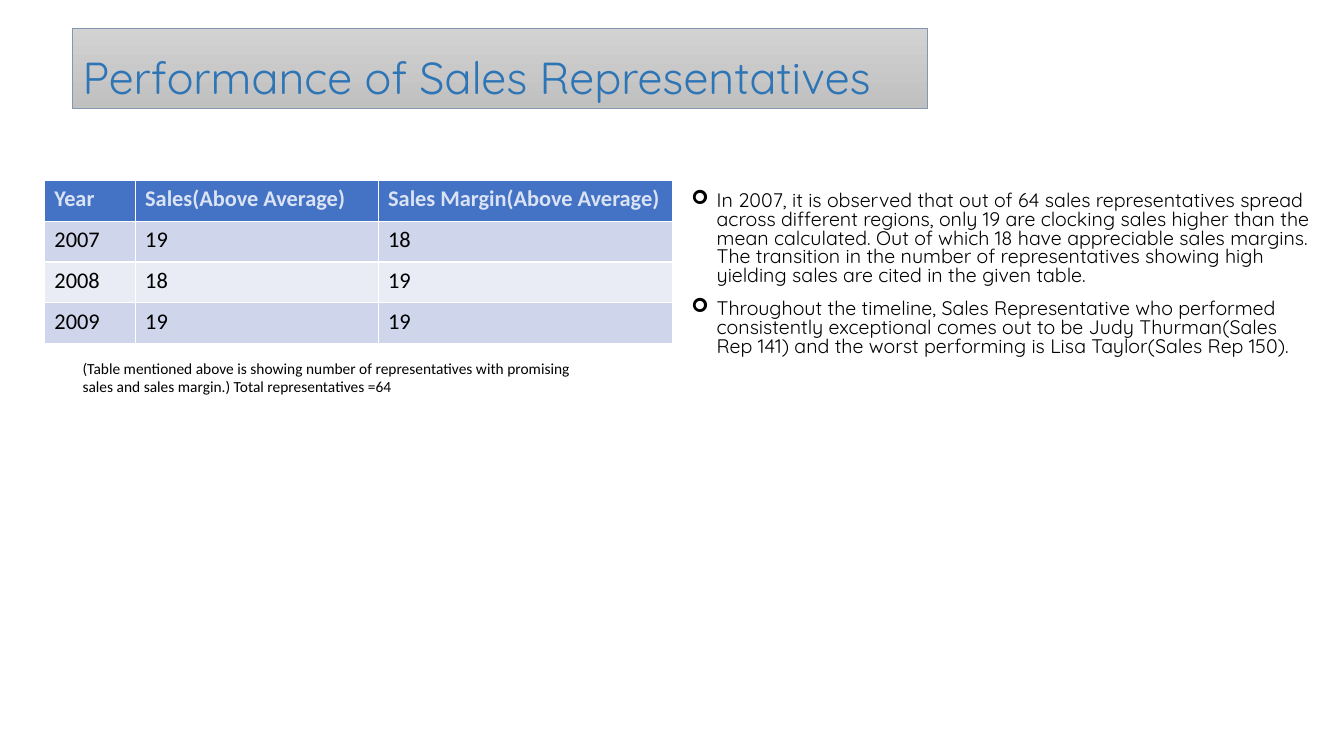
from pptx import Presentation
from pptx import util as u
from pptx.dml.color import RGBColor
from pptx.enum import shapes, text
from pptx.oxml.ns import qn
from lxml import etree

TITLE = "Performance of Sales Representatives"
ROWS = [
    ("Year", "Sales(Above Average)", "Sales Margin(Above Average)"),
    ("2007", "19", "18"),
    ("2008", "18", "19"),
    ("2009", "19", "19"),
]
COL_WIDTHS = (0.9, 2.41, 2.92)
ROW_HEIGHT = 0.405
NOTE = ("(Table mentioned above is showing number of representatives with promising "
        "sales and sales margin.) Total representatives =64")
FINDINGS = [
    "In 2007, it is observed that out of 64 sales representatives spread across "
    "different regions, only 19 are clocking sales higher than the mean calculated. "
    "Out of which 18 have appreciable sales margins. The transition in the number of "
    "representatives showing high yielding sales are cited in the given table.",
    "Throughout the timeline, Sales Representative who performed consistently "
    "exceptional comes out to be Judy Thurman(Sales Rep 141) and the worst performing "
    "is Lisa Taylor(Sales Rep 150).",
]
COLORS = {
    "title": "2E75B6", "title_top": "D2D2D2", "title_bottom": "C0C0C0",
    "title_line": "8497B0", "header": "4472C4", "header_text": "DAE3F3",
    "odd": "CFD5EA", "even": "E9EBF5", "text": "000000",
}


def color(name):
    return RGBColor.from_string(COLORS[name])


def style(p, font, size, name, bold=False):
    p.font.name, p.font.size, p.font.bold = font, u.Pt(size), bold
    p.font.color.rgb = color(name)


def add_text(s, left, top, width, height):
    tf = s.shapes.add_textbox(*map(u.Inches, (left, top, width, height))).text_frame
    tf.word_wrap = True
    return tf


def add_bullet(p, char, indent):
    pPr = p._p.get_or_add_pPr()
    pPr.set("marL", str(u.Inches(indent)))
    pPr.set("indent", str(-u.Inches(indent)))
    bullet_font = etree.Element(qn("a:buFont"), typeface="Wingdings")
    bullet = etree.Element(qn("a:buChar"), char=char)
    at = pPr.index(pPr.find(qn("a:defRPr")))
    pPr.insert(at, bullet)
    pPr.insert(at, bullet_font)


prs = Presentation()
prs.slide_width, prs.slide_height = u.Inches(13.33), u.Inches(7.5)
s = prs.slides.add_slide(prs.slide_layouts[6])

sp = s.shapes.add_shape(shapes.MSO_SHAPE.RECTANGLE,
                        *map(u.Inches, (0.72, 0.28, 8.48, 0.8)))
sp.shadow.inherit = False
sp.fill.gradient()
sp.fill.gradient_angle = 270
for stop, name in zip(sp.fill.gradient_stops, ("title_top", "title_bottom")):
    stop.color.rgb = color(name)
sp.line.color.rgb = color("title_line")
sp.line.width = u.Pt(0.5)
tf = sp.text_frame
tf.word_wrap = True
tf.vertical_anchor = text.MSO_ANCHOR.BOTTOM
p = tf.paragraphs[0]
p.text = TITLE
p.alignment = text.PP_ALIGN.LEFT
p.line_spacing = 0.9
style(p, "Quicksand", 32, "title")

tf = add_text(s, 6.76, 1.86, 6.4, 2.65)
for i, finding in enumerate(FINDINGS):
    p = tf.add_paragraph() if i else tf.paragraphs[0]
    p.text = finding
    p.line_spacing = 0.8
    p.space_before = u.Pt(10)
    style(p, "Quicksand", 14, "text")
    add_bullet(p, "\u27a2", 0.25)

table = s.shapes.add_table(
    len(ROWS), len(COL_WIDTHS), u.Inches(0.44), u.Inches(1.79),
    u.Inches(sum(COL_WIDTHS)), u.Inches(ROW_HEIGHT * len(ROWS))).table
for column, width in zip(table.columns, COL_WIDTHS):
    column.width = u.Inches(width)
for r, values in enumerate(ROWS):
    fill = "header" if r == 0 else "odd" if r % 2 else "even"
    for c, value in enumerate(values):
        cell = table.cell(r, c)
        cell.fill.solid()
        cell.fill.fore_color.rgb = color(fill)
        p = cell.text_frame.paragraphs[0]
        p.text = value
        style(p, "Calibri", 16, "text" if r else "header_text", r == 0)

p = add_text(s, 0.72, 3.51, 5.32, 0.47).paragraphs[0]
p.text = NOTE
style(p, "Calibri", 11, "text")

prs.save("out.pptx")
